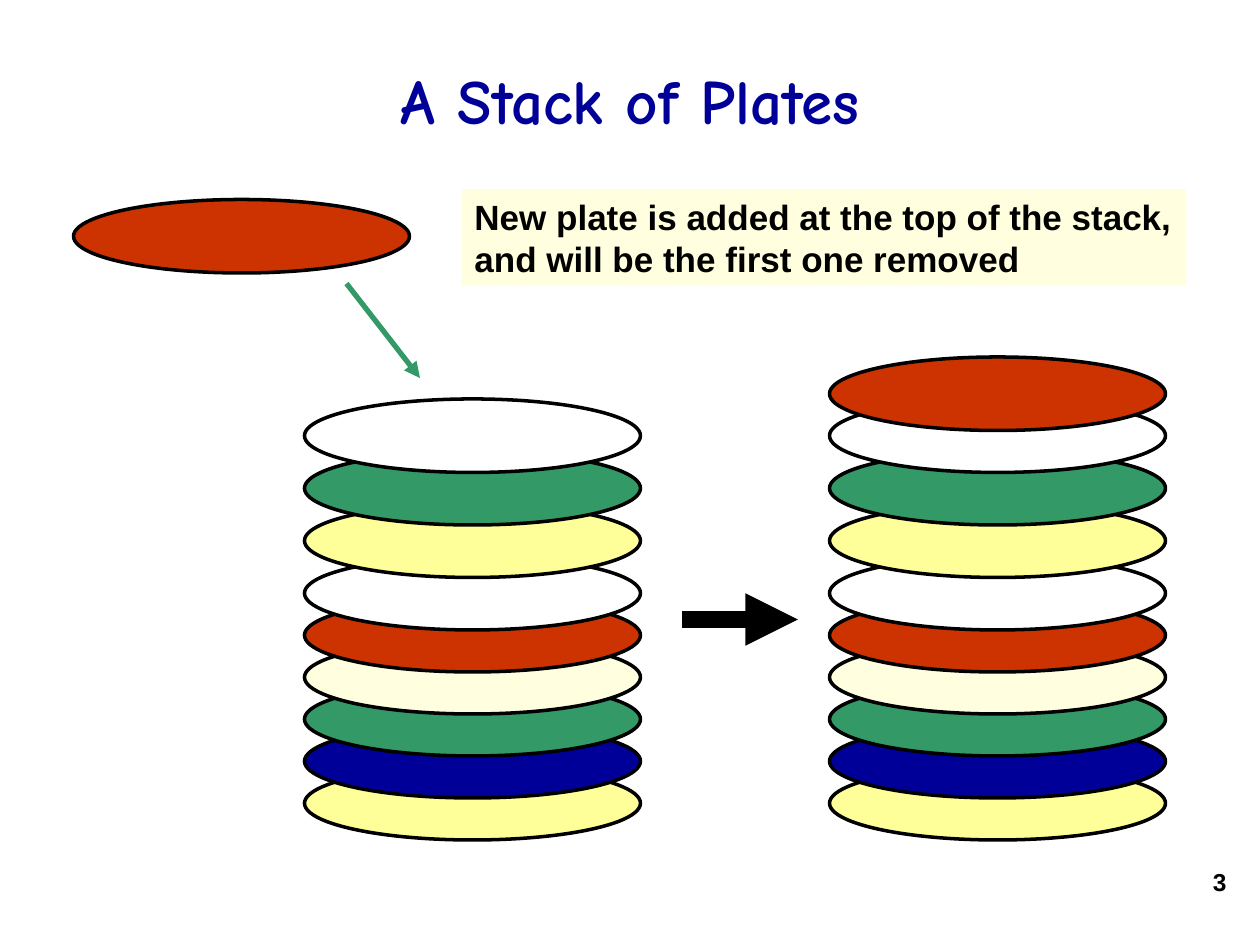
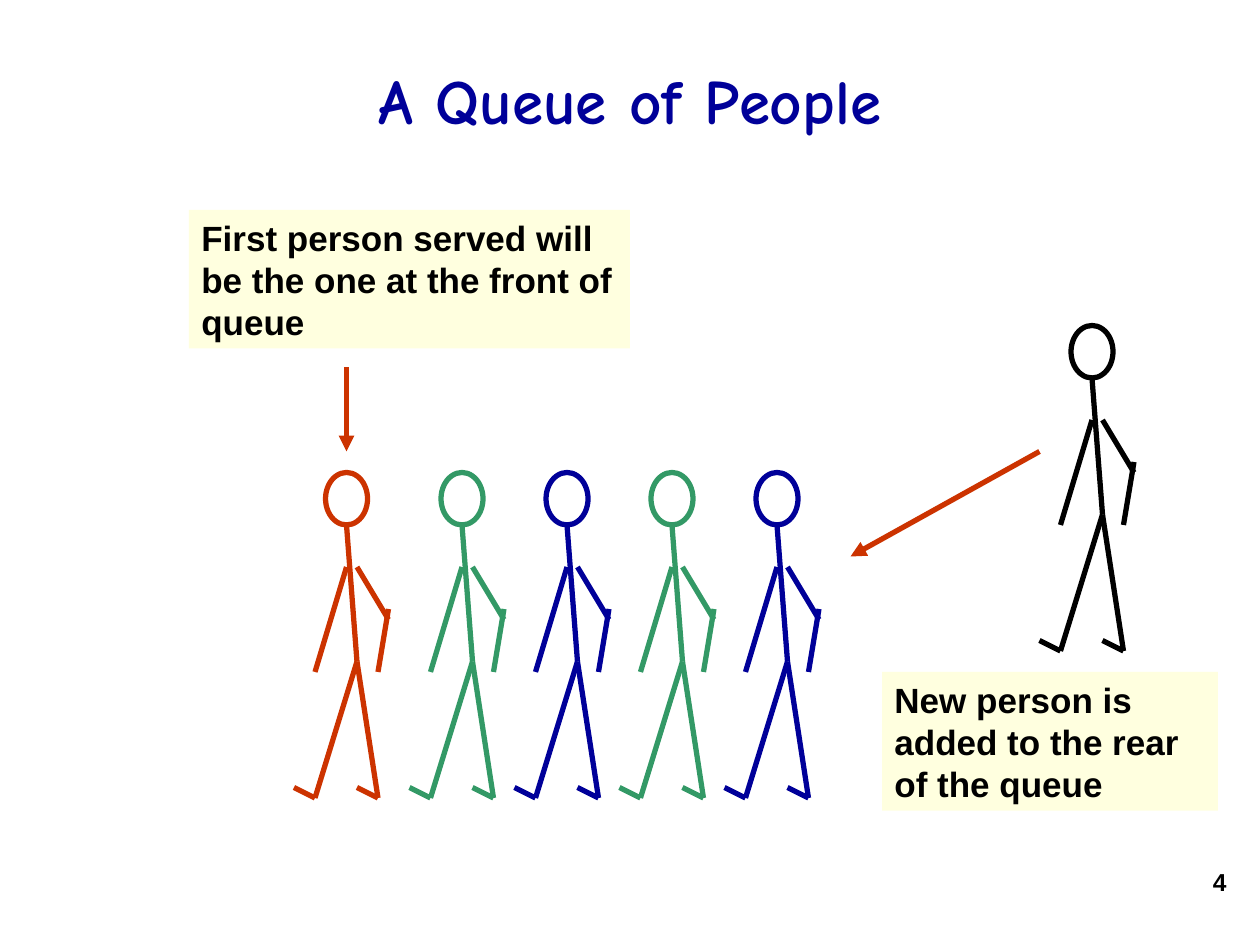
from typing import NamedTuple

from lxml import etree
from pptx import Presentation
from pptx.dml.color import RGBColor
from pptx.enum.shapes import MSO_CONNECTOR as CONN, MSO_SHAPE as SHAPE
from pptx.enum.text import MSO_ANCHOR as ANCHOR, MSO_AUTO_SIZE as FIT, PP_ALIGN as ALIGN
from pptx.oxml.ns import qn
from pptx.util import Emu, Pt

PX = 7620  # EMU per px, 120 px to the inch
BLACK, WHITE, NAVY, GREEN = "000000", "FFFFFF", "000099", "339966"
RED, YELLOW, CREAM = "CC3300", "FFFF99", "FFFFDF"
BODY_FONT, TITLE_FONT = "Arial", "Comic Neue"

PLATE_W, PLATE_H = 320, 70
HEAD_W, HEAD_H = 40, 50


class Box(NamedTuple):
    x: int
    y: int
    w: int
    h: int


class Plate(NamedTuple):
    y: int
    color: str


class Limb(NamedTuple):
    """A stroke measured from the top left of the head."""
    x1: int
    y1: int
    x2: int
    y2: int


class Person(NamedTuple):
    x: int
    y: int
    color: str


TITLE_BOX = Box(90, 20, 1020, 150)
NUMBER_BOX = Box(930, 820, 250, 60)

LOWER_COLORS = [YELLOW, NAVY, GREEN, CREAM, RED]
UPPER_COLORS = [WHITE, YELLOW, GREEN, WHITE]
STACK = ([Plate(730 - 40 * i, c) for i, c in enumerate(LOWER_COLORS)]
         + [Plate(530 - 50 * i, c) for i, c in enumerate(UPPER_COLORS)])

LIMBS = [
    Limb(20, 50, 30, 180),    # body
    Limb(30, 180, -10, 310),  # front leg
    Limb(30, 180, 50, 310),   # back leg
    Limb(-10, 310, -30, 300),  # front foot
    Limb(50, 310, 30, 300),   # back foot
    Limb(20, 90, -10, 190),   # front arm
    Limb(30, 90, 60, 140),    # back upper arm
    Limb(60, 130, 50, 190),   # back forearm
]
QUEUE = ([Person(310, 450, RED)]
         + [Person(420 + 100 * i, 450, c)
            for i, c in enumerate([GREEN, NAVY, GREEN, NAVY])])
NEWCOMER = Person(1020, 310, BLACK)


def rgb(color: str) -> RGBColor:
    return RGBColor.from_string(color)


def emu(*lengths: int) -> list[Emu]:
    return [Emu(n * PX) for n in lengths]


def put_text(sp, text: str, *, size: int, color: str = BLACK, font: str = BODY_FONT,
             align=ALIGN.LEFT, anchor=ANCHOR.TOP, fit=FIT.NONE) -> None:
    tf = sp.text_frame
    tf.word_wrap, tf.auto_size, tf.vertical_anchor = True, fit, anchor
    p = tf.paragraphs[0]
    p.alignment = align
    r = p.add_run()
    r.text = text
    r.font.name, r.font.size, r.font.bold = font, Pt(size), True
    r.font.color.rgb = rgb(color)


def add_shape(slide, kind, box: Box, fill: str = "", line: str = "", width: int = 0):
    sp = slide.shapes.add_shape(kind, *emu(*box))
    sp.shadow.inherit = False
    if fill:
        sp.fill.solid()
        sp.fill.fore_color.rgb = rgb(fill)
    else:
        sp.fill.background()
    if line:
        sp.line.color.rgb, sp.line.width = rgb(line), Pt(width)
    else:
        sp.line.fill.background()
    return sp


def add_line(slide, ends: tuple[int, int, int, int], color: str, *,
             width: int = 3, arrow: bool = False) -> None:
    cn = slide.shapes.add_connector(CONN.STRAIGHT, *emu(*ends))
    cn.line.color.rgb, cn.line.width = rgb(color), Pt(width)
    props = cn._element.spPr
    if arrow:
        etree.SubElement(props.find(qn("a:ln")), qn("a:tailEnd"), type="triangle")
    etree.SubElement(props, qn("a:effectLst"))


def add_note(slide, text: str, box: Box) -> None:
    sp = add_shape(slide, SHAPE.RECTANGLE, box, CREAM)
    put_text(sp, text, size=20, fit=FIT.SHAPE_TO_FIT_TEXT)


def add_plates(slide, x: int, plates: list[Plate]) -> None:
    for plate in plates:
        add_shape(slide, SHAPE.OVAL, Box(x, plate.y, PLATE_W, PLATE_H),
                  plate.color, BLACK, 2)


def add_person(slide, person: Person) -> None:
    x, y, color = person
    add_shape(slide, SHAPE.OVAL, Box(x, y, HEAD_W, HEAD_H), line=color, width=3)
    for limb in LIMBS:
        add_line(slide, (x + limb.x1, y + limb.y1, x + limb.x2, y + limb.y2), color)


def new_slide(prs, title: str, number: int):
    s = prs.slides.add_slide(prs.slide_layouts[5])
    sp = s.shapes.title
    sp.left, sp.top, sp.width, sp.height = emu(*TITLE_BOX)
    put_text(sp, title, size=36, color=NAVY, font=TITLE_FONT,
             align=ALIGN.CENTER, anchor=ANCHOR.MIDDLE)
    put_text(s.shapes.add_textbox(*emu(*NUMBER_BOX)), str(number),
             size=14, align=ALIGN.RIGHT)
    return s


def build_stack(prs) -> None:
    s = new_slide(prs, "A Stack of Plates", 3)
    add_plates(s, 290, STACK)
    add_plates(s, 70, [Plate(190, RED)])
    add_note(s, "New plate is added at the top of the stack, "
                "and will be the first one removed", Box(440, 180, 690, 92))
    add_line(s, (330, 270, 400, 360), GREEN, arrow=True)
    add_plates(s, 790, STACK + [Plate(340, RED)])
    add_line(s, (650, 590, 760, 590), BLACK, width=10, arrow=True)


def build_queue(prs) -> None:
    s = new_slide(prs, "A Queue of People", 4)
    for person in QUEUE + [NEWCOMER]:
        add_person(s, person)
    add_note(s, "First person served will be the one at the front of queue",
             Box(180, 200, 420, 132))
    add_line(s, (330, 350, 330, 430), RED, arrow=True)
    add_line(s, (990, 430, 810, 530), RED, arrow=True)
    add_note(s, "New person is added to the rear of the queue",
             Box(840, 640, 320, 132))


def main() -> None:
    prs = Presentation()
    prs.slide_width, prs.slide_height = emu(1200, 900)
    build_stack(prs)
    build_queue(prs)
    prs.save("out.pptx")


if __name__ == "__main__":
    main()
